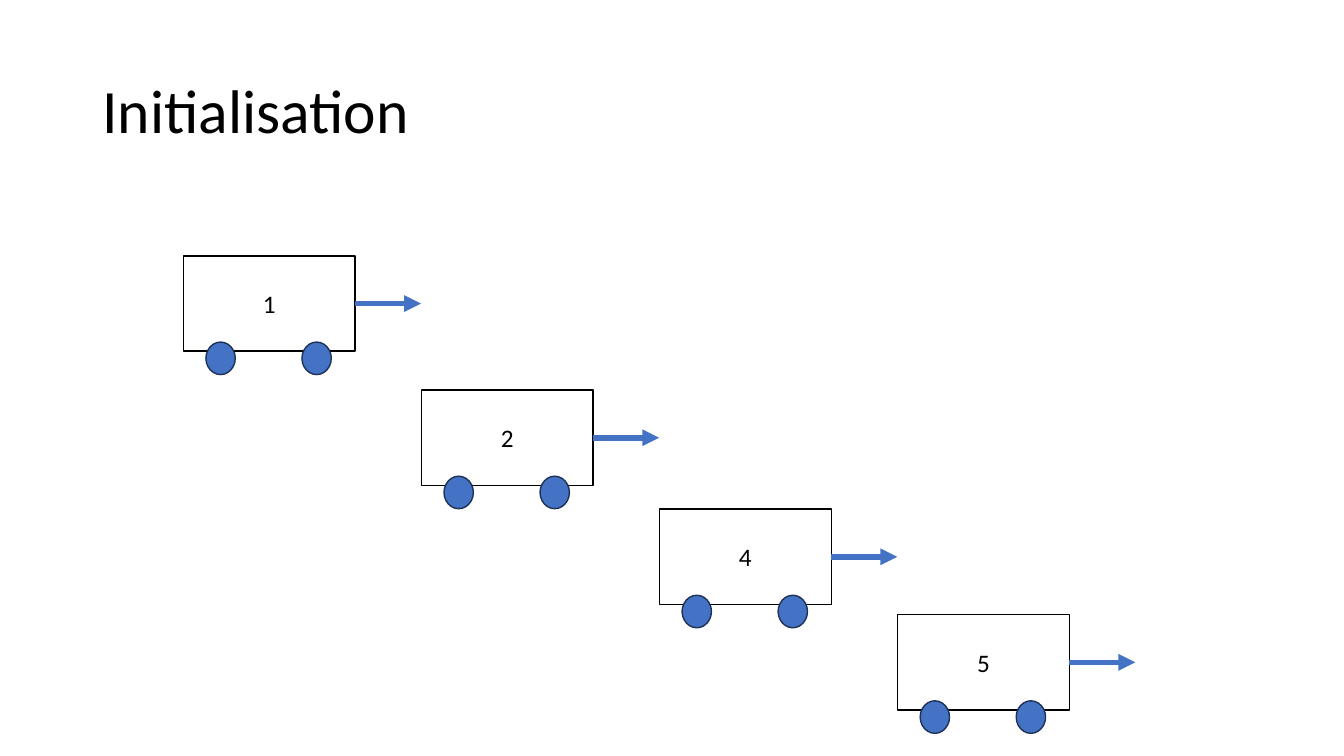
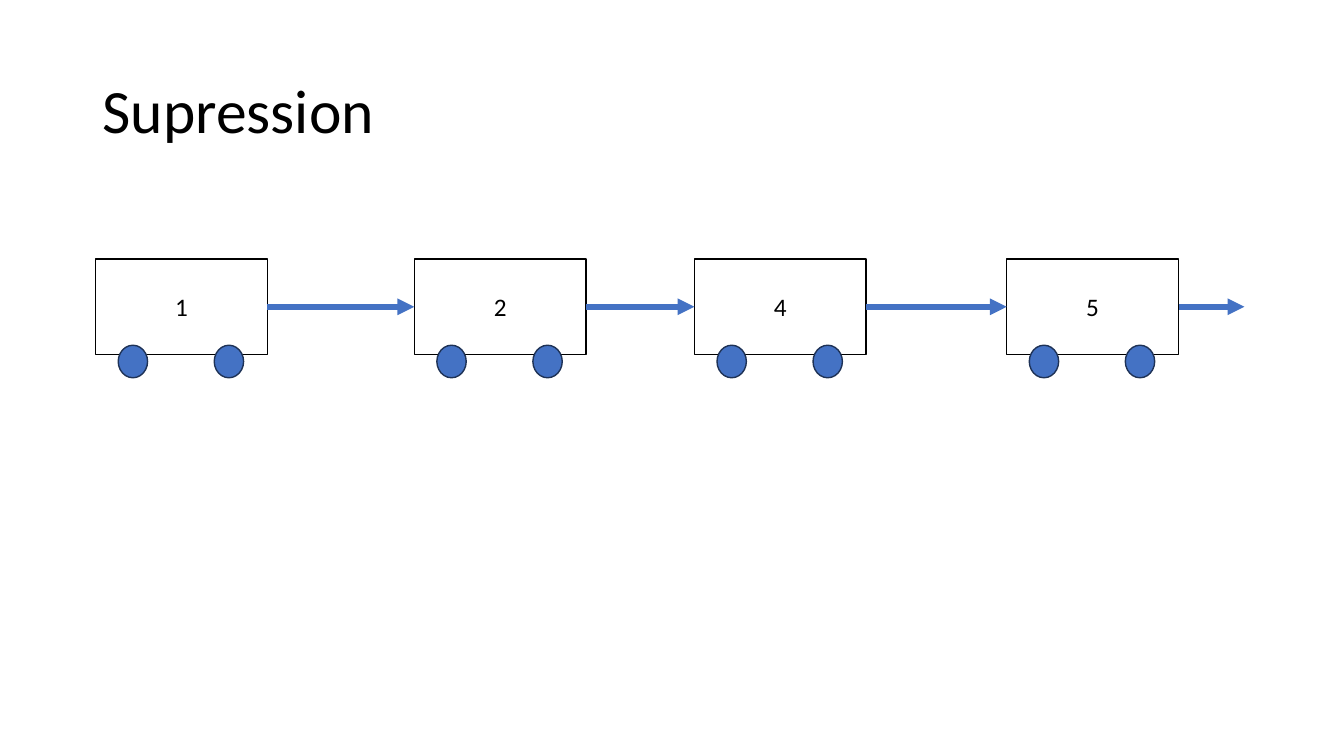
from pptx import Presentation
from pptx.dml.color import RGBColor
from pptx.enum.shapes import MSO_CONNECTOR, MSO_SHAPE
from pptx.enum.text import MSO_ANCHOR, PP_ALIGN
from pptx.oxml.ns import qn
from pptx.util import Cm, Pt
from lxml.etree import SubElement

BLACK, WHITE, BLUE, NAVY = "000000", "FFFFFF", "4472C4", "1E3256"
FONT = "Calibri"

# Wagon measures in centimetres
WAGON_WIDTH, WAGON_HEIGHT = 4.33, 2.4
WHEEL_WIDTH, WHEEL_HEIGHT = 0.74, 0.82
WHEEL_LEFTS, WHEEL_TOP = (0.57, 2.99), 2.17
ARROW_LENGTH = 1.66

# Title, wagon positions (left, top), whether the wagons are coupled
SLIDES = [
    ("Initialisation",
     [(4.62 + 6 * step, top) for step, top in enumerate((6.45, 9.83, 12.83, 15.49))],
     False),
    ("Supression",
     [(left, 6.53) for left in (2.41, 10.44, 17.5, 25.37)],
     True),
]
LABELS = ("1", "2", "4", "5")


def color(value):
    return RGBColor.from_string(value)


def add_part(group, kind, box, fill, line):
    shape = group.shapes.add_shape(kind, *[Cm(length) for length in box])
    shape.shadow.inherit = False
    shape.fill.solid()
    shape.fill.fore_color.rgb = color(fill)
    shape.line.color.rgb = color(line)
    shape.line.width = Pt(1)
    return shape


presentation = Presentation()
presentation.slide_width, presentation.slide_height = Cm(33.87), Cm(19.05)
title_only = presentation.slide_layouts[5]

for title_text, positions, coupled in SLIDES:
    slide = presentation.slides.add_slide(title_only)

    # Title
    title = slide.shapes.title
    title.left, title.top, title.width, title.height = Cm(2.33), Cm(1.01), Cm(29.21), Cm(3.68)
    title.text_frame.text = title_text
    title.text_frame.vertical_anchor = MSO_ANCHOR.MIDDLE
    paragraph = title.text_frame.paragraphs[0]
    paragraph.alignment = PP_ALIGN.LEFT
    paragraph.line_spacing = 0.9
    paragraph.font.name, paragraph.font.size = FONT, Pt(44)
    paragraph.font.color.rgb = color(BLACK)

    # Wagons: a numbered body and two wheels
    bodies = []
    for label, (left, top) in zip(LABELS, positions):
        wagon = slide.shapes.add_group_shape()
        body = add_part(wagon, MSO_SHAPE.RECTANGLE,
                        (left, top, WAGON_WIDTH, WAGON_HEIGHT), WHITE, BLACK)
        body.text_frame.text = label
        body.text_frame.vertical_anchor = MSO_ANCHOR.MIDDLE
        paragraph = body.text_frame.paragraphs[0]
        paragraph.alignment = PP_ALIGN.CENTER
        paragraph.font.name, paragraph.font.size = FONT, Pt(18)
        paragraph.font.color.rgb = color(BLACK)
        for wheel_left in WHEEL_LEFTS:
            add_part(wagon, MSO_SHAPE.OVAL,
                     (left + wheel_left, top + WHEEL_TOP, WHEEL_WIDTH, WHEEL_HEIGHT), BLUE, NAVY)
        bodies.append(body)

    # Arrows: to the next wagon when coupled, otherwise into free space
    for index, (left, top) in enumerate(positions):
        start, middle = left + WAGON_WIDTH, top + WAGON_HEIGHT / 2
        arrow = slide.shapes.add_connector(
            MSO_CONNECTOR.STRAIGHT, Cm(start), Cm(middle), Cm(start + ARROW_LENGTH), Cm(middle))
        arrow.begin_connect(bodies[index], 3)
        if coupled and index + 1 < len(bodies):
            arrow.end_connect(bodies[index + 1], 1)
        arrow.line.color.rgb = color(BLUE)
        arrow.line.width = Pt(4)
        SubElement(arrow.line._get_or_add_ln(), qn("a:tailEnd"), type="triangle")
        SubElement(arrow._element.spPr, qn("a:effectLst"))

presentation.save("out.pptx")
